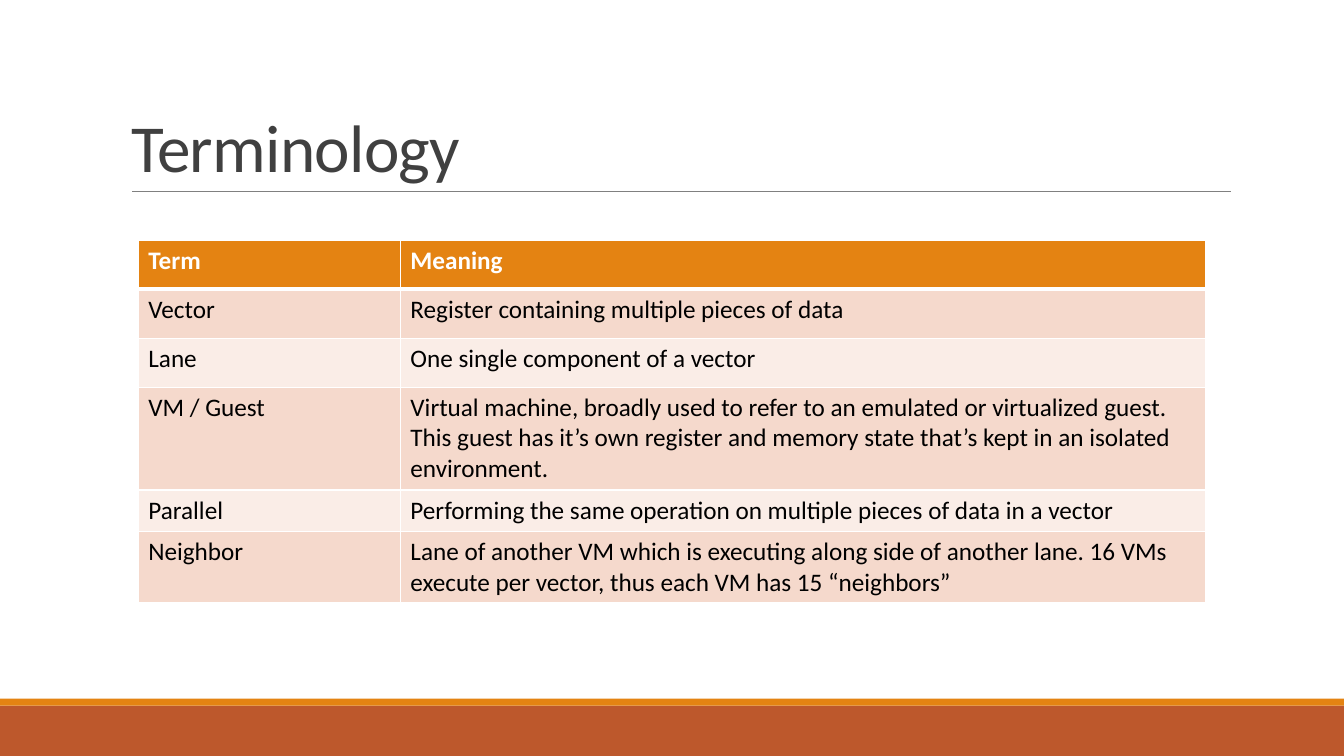
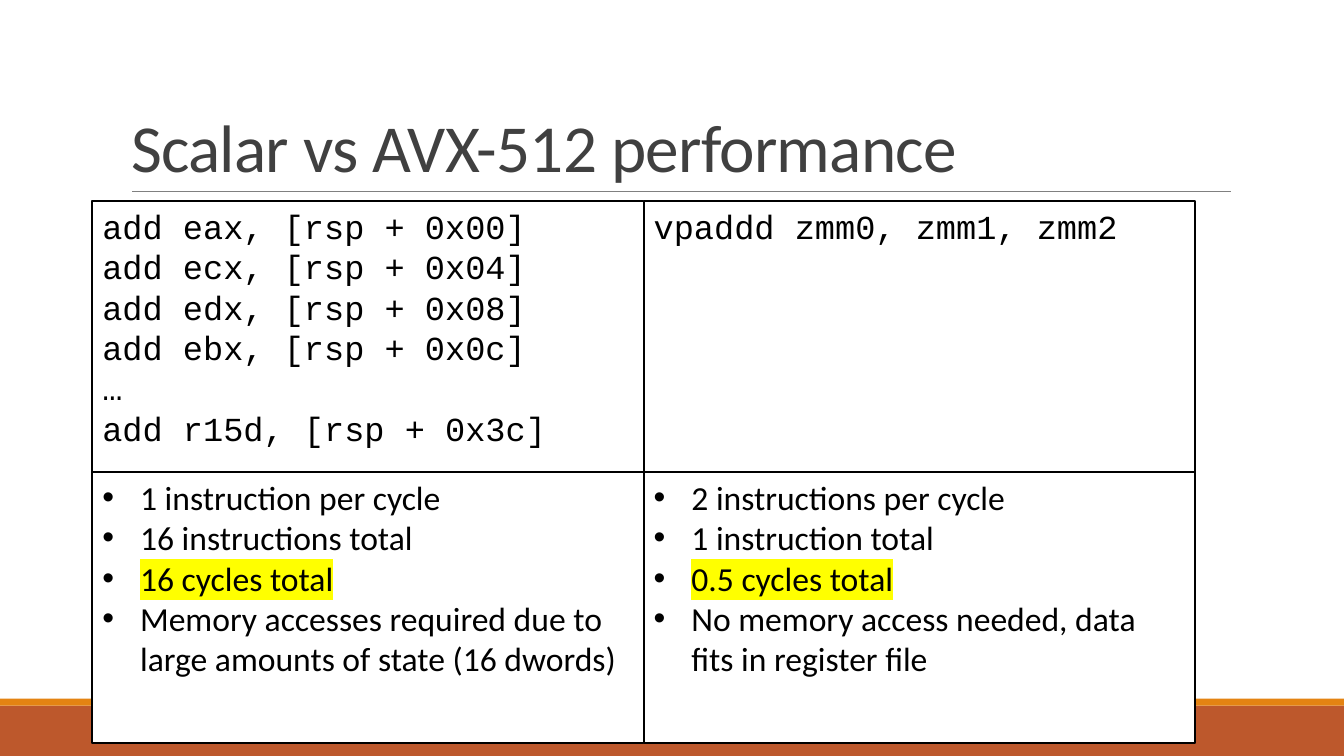
"""Build two slides on vectorized emulation: terminology and instruction throughput."""
import lxml.etree
import pptx
import pptx.dml.color
import pptx.enum.shapes
import pptx.enum.text
import pptx.oxml
import pptx.oxml.ns
import pptx.util

Pt = pptx.util.Pt
qn = pptx.oxml.ns.qn
SHAPES = pptx.enum.shapes.MSO_SHAPE
ANCHOR = pptx.enum.text.MSO_ANCHOR
ALIGN = pptx.enum.text.PP_ALIGN


class Deck:
    COLORS = {
        "band": "BD582C", "accent": "E48312", "rule": "808080",
        "title": "404040", "text": "000000", "paper": "FFFFFF",
        "odd_row": "F5D9CC", "even_row": "FAEDE7", "marker": "FFFF00",
    }
    BODY_FONT = "Calibri"
    CODE_FONT = "Courier New"
    WIDTH, HEIGHT = 960, 540

    def __init__(self):
        self.presentation = pptx.Presentation()
        self.presentation.slide_width = Pt(self.WIDTH)
        self.presentation.slide_height = Pt(self.HEIGHT)
        self.slide = None

    def color(self, role):
        return pptx.dml.color.RGBColor.from_string(self.COLORS[role])

    def fill(self, target, role):
        target.fill.solid()
        target.fill.fore_color.rgb = self.color(role)

    def new_slide(self, heading):
        self.slide = self.presentation.slides.add_slide(self.presentation.slide_layouts[5])
        self.rectangle(0, 504, self.WIDTH, 36, "band")
        self.rectangle(0, 499, self.WIDTH, 5, "accent")
        self.rule(94.5, 136.8, 879)
        title = self.slide.shapes.title
        title.left, title.top, title.width, title.height = Pt(86.4), Pt(22.5), Pt(792), Pt(114.3)
        frame = title.text_frame
        frame.auto_size = pptx.enum.text.MSO_AUTO_SIZE.NONE
        frame.vertical_anchor = ANCHOR.BOTTOM
        self.add_text(frame, [heading], 48, "title", spacing=0.85)
        frame.paragraphs[0].runs[0].font._element.set("spc", "-50")

    def rectangle(self, left, top, width, height, role, outline=None):
        box = self.slide.shapes.add_shape(SHAPES.RECTANGLE, Pt(left), Pt(top), Pt(width), Pt(height))
        box.shadow.inherit = False
        self.fill(box, role)
        if outline:
            box.line.color.rgb = self.color(outline)
            box.line.width = Pt(1.25)
        else:
            box.line.fill.background()
        return box

    def rule(self, left, top, right):
        line = self.slide.shapes.add_connector(
            pptx.enum.shapes.MSO_CONNECTOR.STRAIGHT, Pt(left), Pt(top), Pt(right), Pt(top))
        line.line.color.rgb = self.color("rule")
        line.line.width = Pt(0.5)
        lxml.etree.SubElement(line._element.spPr, qn("a:effectLst"))

    def add_text(self, frame, lines, size, role="text", font=BODY_FONT, bold=False,
                 spacing=None, bullets=False, marked=None):
        for number, words in enumerate(lines):
            paragraph = frame.add_paragraph() if number else frame.paragraphs[0]
            paragraph.alignment = ALIGN.LEFT
            if spacing:
                paragraph.line_spacing = spacing
            if bullets:
                self.bullet(paragraph)
            run = paragraph.add_run()
            run.text = words
            run.font.size = Pt(size)
            run.font.bold = bold
            run.font.color.rgb = self.color(role)
            run.font.name = font
            if words == marked:
                self.highlight(run)

    def bullet(self, paragraph):
        properties = paragraph._p.get_or_add_pPr()
        properties.set("marL", str(Pt(27)))
        properties.set("indent", str(-Pt(27)))
        lxml.etree.SubElement(properties, qn("a:buFont")).set("typeface", "Arial")
        lxml.etree.SubElement(properties, qn("a:buChar")).set("char", "•")

    def highlight(self, run):
        marker = pptx.oxml.parse_xml(
            f'<a:highlight {pptx.oxml.ns.nsdecls("a")}>'
            f'<a:srgbClr val="{self.COLORS["marker"]}"/></a:highlight>')
        run.font._element.find(qn("a:solidFill")).addnext(marker)

    def panel(self, left, top, width, height, lines, **style):
        frame = self.rectangle(left, top, width, height, "paper", "text").text_frame
        frame.word_wrap = True
        frame.vertical_anchor = ANCHOR.TOP
        self.add_text(frame, lines, 24, spacing=Pt(28.8), **style)

    def cell_borders(self, cell, widths):
        properties = cell._tc.get_or_add_tcPr()
        for side, width in widths.items():
            properties.append(pptx.oxml.parse_xml(
                f'<a:ln{side} {pptx.oxml.ns.nsdecls("a")} w="{Pt(width)}"><a:solidFill>'
                f'<a:srgbClr val="{self.COLORS["paper"]}"/></a:solidFill></a:ln{side}>'))

    def table(self, left, top, widths, heights, rows):
        grid = self.slide.shapes.add_table(
            len(rows), len(widths), Pt(left), Pt(top), Pt(sum(widths)), Pt(sum(heights))).table
        for column, width in zip(grid.columns, widths):
            column.width = Pt(width)
        for number, (row, height, entries) in enumerate(zip(grid.rows, heights, rows)):
            row.height = Pt(height)
            header = number == 0
            background = "accent" if header else "odd_row" if number % 2 else "even_row"
            borders = {"L": 1, "R": 1, "T": 3 if number == 1 else 1, "B": 3 if header else 1}
            for cell, entry in zip(row.cells, entries):
                self.cell_borders(cell, borders)
                self.fill(cell, background)
                self.add_text(cell.text_frame, [entry], 18, "paper" if header else "text", bold=header)


def main():
    deck = Deck()

    deck.new_slide("Terminology")
    deck.table(98.8, 171.6, [187.2, 575], [35, 35, 35, 73.5, 29.5, 50.5], [
        ("Term", "Meaning"),
        ("Vector", "Register containing multiple pieces of data"),
        ("Lane", "One single component of a vector"),
        ("VM / Guest", "Virtual machine, broadly used to refer to an emulated or virtualized guest. "
                       "This guest has it’s own register and memory state that’s kept in an isolated "
                       "environment."),
        ("Parallel", "Performing the same operation on multiple pieces of data in a vector"),
        ("Neighbor", "Lane of another VM which is executing along side of another lane. 16 VMs "
                     "execute per vector, thus each VM has 15 “neighbors”"),
    ])

    deck.new_slide("Scalar vs AVX-512 performance")
    left, top, width, height = 66, 143.5, 393.8, 193.6
    scalar = (
        ["add eax, [rsp + 0x00]", "add ecx, [rsp + 0x04]", "add edx, [rsp + 0x08]",
         "add ebx, [rsp + 0x0c]", "…", "add r15d, [rsp + 0x3c]"],
        ["1 instruction per cycle", "16 instructions total", "16 cycles total",
         "Memory accesses required due to large amounts of state (16 dwords)"],
    )
    vector = (
        ["vpaddd zmm0, zmm1, zmm2"],
        ["2 instructions per cycle", "1 instruction total", "0.5 cycles total",
         "No memory access needed, data fits in register file"],
    )
    for column, (code, facts) in enumerate((scalar, vector)):
        x = left + column * width
        deck.panel(x, top, width, height, code, font=deck.CODE_FONT)
        deck.panel(x, top + height, width, height, facts, bullets=True, marked=facts[2])

    deck.presentation.save("out.pptx")


if __name__ == "__main__":
    main()
